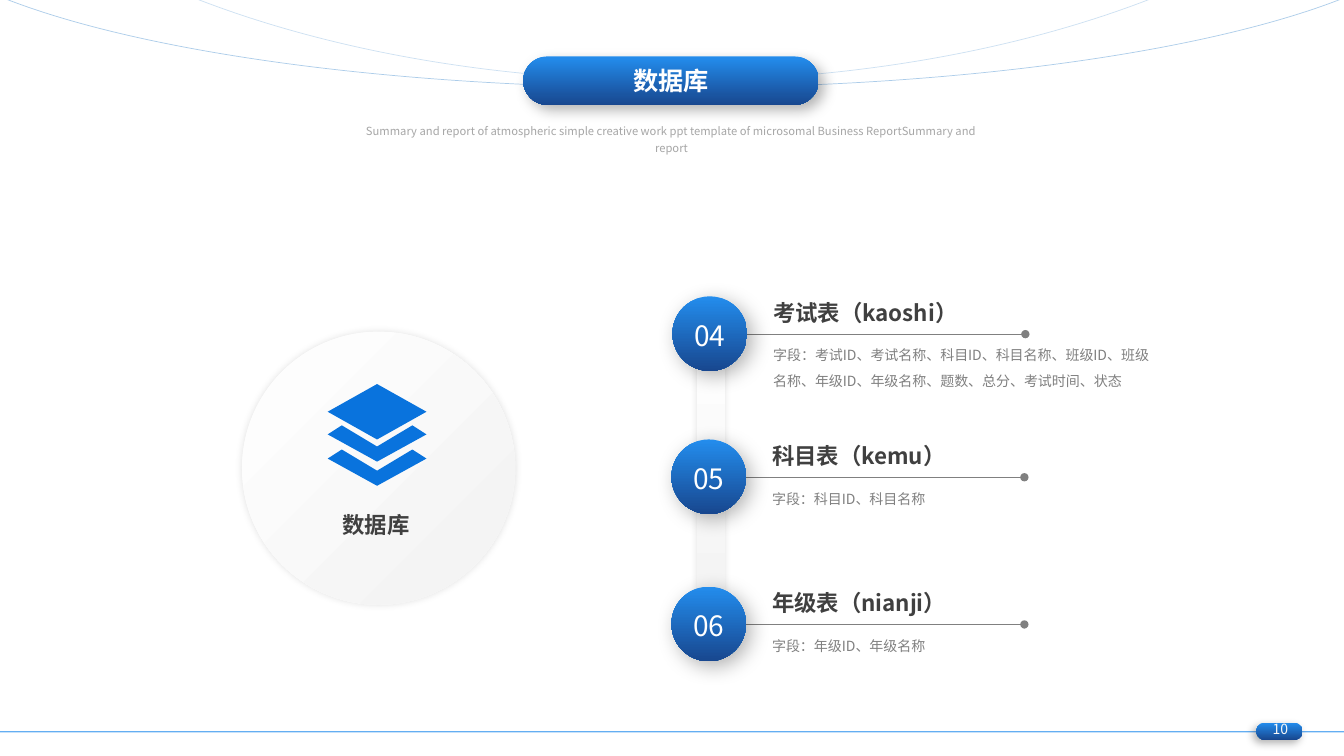
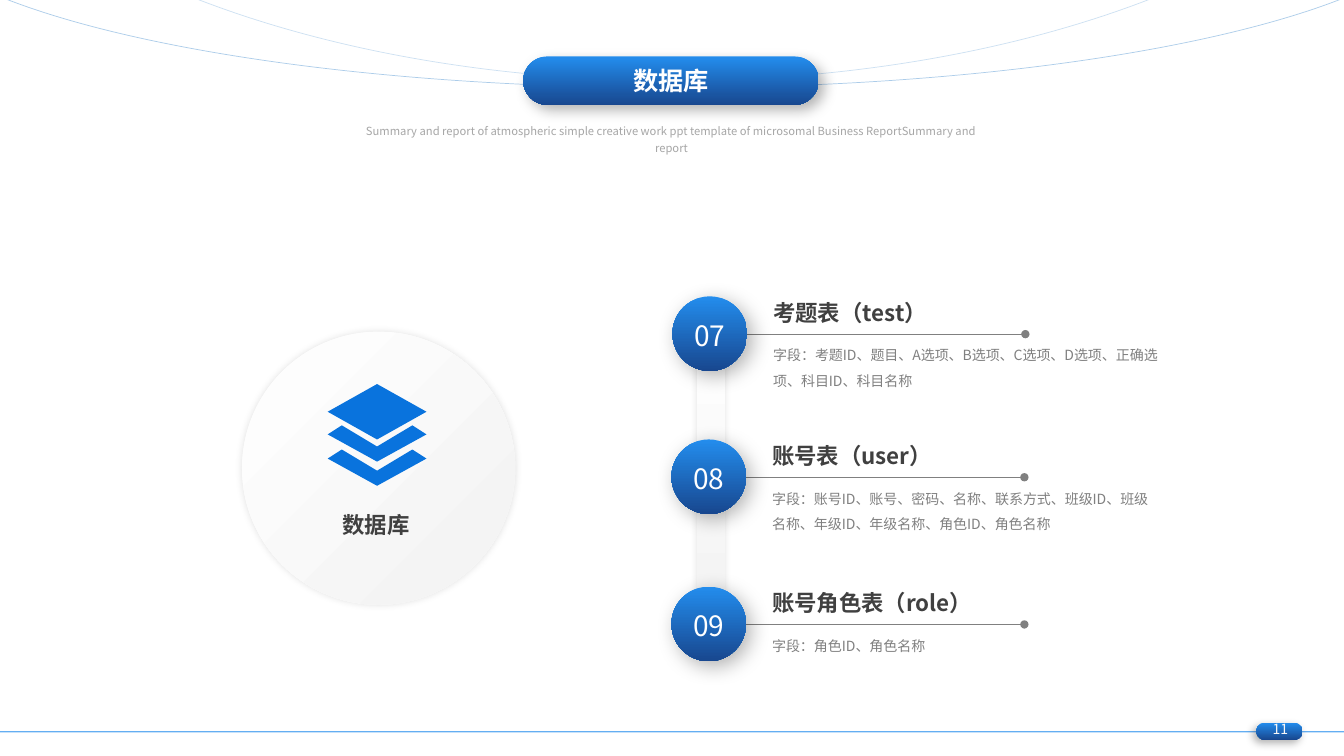
from pptx import Presentation
from pptx.dml.color import RGBColor
from pptx.enum.shapes import MSO_CONNECTOR, MSO_SHAPE
from pptx.enum.text import MSO_ANCHOR, MSO_AUTO_SIZE, PP_ALIGN
from pptx.oxml.ns import qn
from pptx.util import Inches, Pt
from lxml.etree import SubElement

# Content
TITLE = "数据库"
SUBTITLE = ("Summary and report of atmospheric simple creative work ppt template "
            "of microsomal Business ReportSummary and report")
PAGES = [
    (10, [
        ("04", "考试表（kaoshi）",
         "字段：考试ID、考试名称、科目ID、科目名称、班级ID、班级名称、年级ID、"
         "年级名称、题数、总分、考试时间、状态"),
        ("05", "科目表（kemu）", "字段：科目ID、科目名称"),
        ("06", "年级表（nianji）", "字段：年级ID、年级名称"),
    ]),
    (11, [
        ("07", "考题表（test）",
         "字段：考题ID、题目、A选项、B选项、C选项、D选项、正确选项、科目ID、科目名称"),
        ("08", "账号表（user）",
         "字段：账号ID、账号、密码、名称、联系方式、班级ID、班级名称、年级ID、"
         "年级名称、角色ID、角色名称"),
        ("09", "账号角色表（role）", "字段：角色ID、角色名称"),
    ]),
]

# Shared style
FONT = "Noto Sans CJK SC"
BLUE = ("238DED", "18478F")
PALE = ("FFFFFF", "F2F2F2")
ICON, ARC = "0973DD", "5B9BD5"
DARK, GREY, LIGHT, WHITE = "404040", "808080", "A6A6A6", "FFFFFF"
ARCS = [  # top, height, start, end, opacity
    (-2.78, 3.65, 112.82, 211.33, 50),
    (-6.98, 7.78, 127.02, 196.69, 30),
]
ROW_CORNERS = [(6.67, 2.94), (6.66, 4.36), (6.66, 5.82)]
BADGE = 0.74


def rgb(value):
    return RGBColor.from_string(value)


def box(left, top, width, height):
    return [Inches(v) for v in (left, top, width, height)]


def set_alpha(parent, percent):
    color = next(parent.iter(qn("a:srgbClr")))
    SubElement(color, qn("a:alpha"), val=str(percent * 1000))


def style_line(line, color, width, opacity=100):
    line.color.rgb = rgb(color)
    line.width = Pt(width)
    if opacity < 100:
        set_alpha(line._get_or_add_ln(), opacity)


def add_solid(shapes, preset, area, colors, angle=90, shadow=None):
    """Filled shape without outline; shadow is opacity, blur, distance, angle."""
    shape = shapes.add_shape(preset, *box(*area))
    shape.line.fill.background()
    shape.shadow.inherit = False
    if isinstance(colors, str):
        shape.fill.solid()
        shape.fill.fore_color.rgb = rgb(colors)
    else:
        shape.fill.gradient()
        shape.fill.gradient_angle = -angle % 360
        for stop, color, position in zip(shape.fill.gradient_stops, colors, (0, 1)):
            stop.color.rgb = rgb(color)
            stop.position = position
    if shadow:
        opacity, blur, distance, direction = shadow
        effects = shape.element.spPr.find(qn("a:effectLst"))
        outer = SubElement(effects, qn("a:outerShdw"), blurRad=str(Pt(blur)),
                           dist=str(Pt(distance)), dir=str(direction * 60000),
                           algn="ctr", rotWithShape="0")
        SubElement(outer, qn("a:srgbClr"), val="000000")
        set_alpha(outer, opacity)
    return shape


def add_line(shapes, start, end, color, width, opacity=100, dots=False):
    line = shapes.add_connector(MSO_CONNECTOR.STRAIGHT,
                                *[Inches(v) for v in (*start, *end)])
    style_line(line.line, color, width, opacity)
    if dots:
        for tag in ("a:headEnd", "a:tailEnd"):
            SubElement(line.line._get_or_add_ln(), qn(tag), type="oval")
    SubElement(line.element.spPr, qn("a:effectLst"))


def write(frame, text, size, color, bold=False, align=PP_ALIGN.LEFT, spacing=None):
    frame.word_wrap = True
    frame.text = text
    paragraph = frame.paragraphs[0]
    paragraph.alignment = align
    if spacing:
        paragraph.line_spacing = spacing
    font = paragraph.font
    font.size, font.bold, font.name = Pt(size), bold, FONT
    font.color.rgb = rgb(color)
    SubElement(paragraph._p.pPr.find(qn("a:defRPr")), qn("a:ea"), typeface=FONT)


def add_text(shapes, area, text, size, color, **options):
    write(shapes.add_textbox(*box(*area)).text_frame, text, size, color, **options)


def draw_frame(shapes):
    """Arcs, subtitle and footer band."""
    for top, height, start, end, opacity in ARCS:
        arc = shapes.add_shape(MSO_SHAPE.ARC, *box(-1.06, top, 15.48, height))
        arc.rotation = 180
        arc.adjustments[0], arc.adjustments[1] = start, end
        arc.fill.background()
        arc.shadow.inherit = False
        style_line(arc.line, ARC, 0.5, opacity)
    add_text(shapes, (3.42, 1.14, 6.48, 0.26), SUBTITLE, 8, LIGHT,
             align=PP_ALIGN.CENTER, spacing=1.3)
    add_line(shapes, (0, 7.26), (13.33, 7.26), BLUE[0], 1, 70)
    number_pill = add_solid(shapes, MSO_SHAPE.ROUNDED_RECTANGLE,
                            (12.46, 7.17, 0.46, 0.17), BLUE, shadow=(30, 6, 3, 135))
    number_pill.adjustments[0] = 0.5


def move_to_layout(slide, layout):
    """Hand the frame drawn on a slide to the layout, for all slides."""
    for holder in list(layout.placeholders):
        if holder.placeholder_format.idx:
            holder.element.getparent().remove(holder.element)
    tree = layout.shapes.element
    for part in list(slide.shapes):
        if not part.is_placeholder:
            tree.append(part.element)
    for number, properties in enumerate(tree.iter(qn("p:cNvPr")), 1):
        properties.set("id", str(number))


def draw_title(slide):
    area = (5.19, 0.56, 2.93, 0.48)
    pill = add_solid(slide.shapes, MSO_SHAPE.ROUNDED_RECTANGLE, area, BLUE,
                     shadow=(30, 10, 5, 45))
    pill.adjustments[0] = 0.5
    title = slide.shapes.title
    title.left, title.top, title.width, title.height = box(*area)
    frame = title.text_frame
    frame.auto_size = MSO_AUTO_SIZE.NONE
    frame.vertical_anchor = MSO_ANCHOR.MIDDLE
    write(frame, TITLE, 18, WHITE, bold=True, align=PP_ALIGN.CENTER)
    pill.element.addnext(title.element)


def draw_emblem(shapes):
    """Round plate with the stacked-layers icon and its label."""
    add_solid(shapes, MSO_SHAPE.OVAL, (2.4, 3.29, 2.71, 2.71), PALE, 45, (11, 5, 0, 0))
    add_text(shapes, (2.73, 5.02, 2, 0.32), TITLE, 16, DARK, bold=True,
             align=PP_ALIGN.CENTER)
    center, half = 3.74, 0.49
    icon = shapes.add_group_shape().shapes
    add_solid(icon, MSO_SHAPE.DIAMOND, (center - half, 3.81, 2 * half, 0.55), ICON)
    for top in (4.22, 4.46):
        outline = [(0, 0.21), (-0.35, 0), (-half, 0.09), (0, 0.36),
                   (half, 0.09), (0.35, 0)]
        points = [(Inches(center + x), Inches(top + y)) for x, y in outline]
        builder = icon.build_freeform(*points[0])
        builder.add_line_segments(points[1:])
        layer = builder.convert_to_shape()
        layer.fill.solid()
        layer.fill.fore_color.rgb = rgb(ICON)
        layer.line.fill.background()
        layer.shadow.inherit = False


def draw_row(shapes, left, top, number, heading, fields):
    line_y = top + 0.375
    add_line(shapes, (left + 0.59, line_y), (left + 3.5, line_y), GREY, 0.5, dots=True)
    add_text(shapes, (left + 0.9, top - 0.02, 2.81, 0.37), heading, 16, DARK, bold=True)
    add_text(shapes, (left + 0.9, top + 0.37, 4.06, 0.6), fields, 10, GREY, spacing=1.5)
    add_solid(shapes, MSO_SHAPE.OVAL, (left, top, BADGE, BADGE), BLUE,
              shadow=(30, 15, 5, 45))
    add_text(shapes, (left - 0.04, top + 0.17, 0.82, 0.44), number, 20, WHITE,
             align=PP_ALIGN.CENTER)


def main():
    deck = Presentation()
    deck.slide_width, deck.slide_height = Inches(13.33), Inches(7.5)
    layout = deck.slide_layouts[5]
    for index, (page_number, rows) in enumerate(PAGES):
        slide = deck.slides.add_slide(layout)
        shapes = slide.shapes
        if index == 0:
            draw_frame(shapes)
            move_to_layout(slide, layout)
        draw_title(slide)
        draw_emblem(shapes)
        # Band joining the number badges
        add_solid(shapes, MSO_SHAPE.RECTANGLE, (6.91, 3.02, 0.28, 3.46), PALE,
                  shadow=(11, 5, 0, 0))
        for corner, row in zip(ROW_CORNERS, rows):
            draw_row(shapes, *corner, *row)
        add_text(shapes, (12.43, 7.1, 0.54, 0.27), str(page_number), 10, "F8F8F8",
                 align=PP_ALIGN.CENTER)
    deck.save("out.pptx")


if __name__ == "__main__":
    main()
